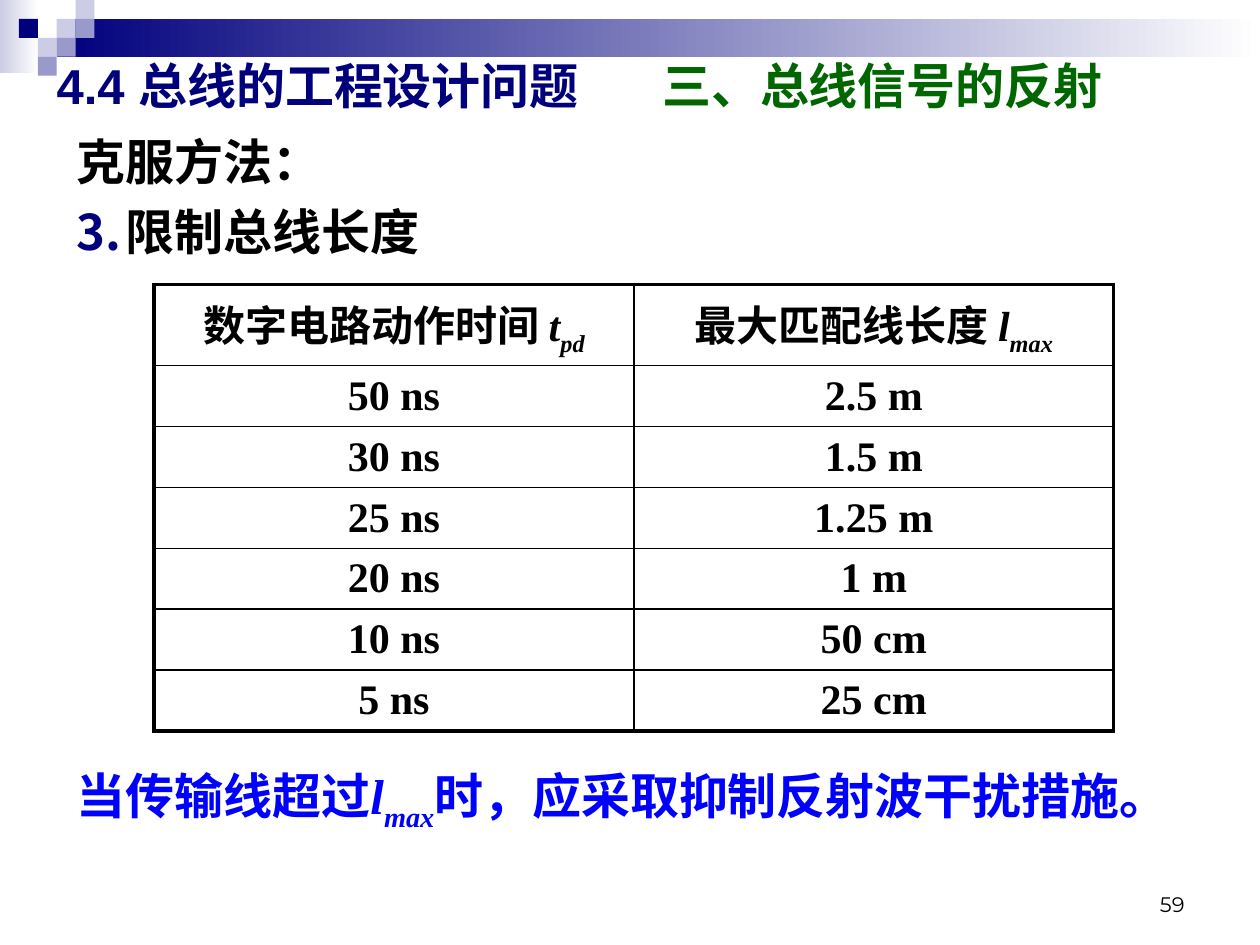
from lxml import etree
from pptx import Presentation
from pptx.dml.color import RGBColor
from pptx.enum.shapes import MSO_SHAPE
from pptx.enum.text import MSO_ANCHOR, PP_ALIGN
from pptx.oxml import parse_xml
from pptx.oxml.ns import nsdecls, qn
from pptx.util import Pt

COLORS = {"navy": "00007D", "lilac": "CCCCE6", "violet": "9999CC", "white": "FFFFFF",
          "green": "006600", "blue": "0000FF", "black": "000000"}
SERIF = "Times New Roman"


def add_text(paragraph, text, size=28, font=SERIF, color="black", bold=True,
             italic=False, baseline=0):
    run = paragraph.add_run()
    run.text = text
    run.font.size = Pt(size)
    run.font.name = font
    run.font.bold = bold
    run.font.italic = italic
    run.font.color.rgb = RGBColor.from_string(COLORS[color])
    if baseline:
        run.font._element.set("baseline", str(baseline * 1000))


def add_block(left, top, width, height, color, fade_to=None):
    block = slide.shapes.add_shape(MSO_SHAPE.RECTANGLE, Pt(left), Pt(top), Pt(width), Pt(height))
    block.shadow.inherit = False
    block.line.fill.background()
    if fade_to:
        block.fill.gradient()
        block.fill.gradient_angle = 0
        for stop, name, position in zip(block.fill.gradient_stops, (color, fade_to), (0, 1)):
            stop.color.rgb = RGBColor.from_string(COLORS[name])
            stop.position = position
    else:
        block.fill.solid()
        block.fill.fore_color.rgb = RGBColor.from_string(COLORS[color])


prs = Presentation()
prs.slide_width, prs.slide_height = Pt(720), Pt(540)
slide = prs.slides.add_slide(prs.slide_layouts[1])

# Header band and mosaic of squares
add_block(0, 0, 22, 42, "lilac", fade_to="white")
add_block(32.4, 10.8, 687.6, 21.6, "navy", fade_to="white")
SQUARE = 10.8
for column, row, color in [(3, 1, "lilac"), (4, 0, "lilac"), (4, 1, "violet"), (2, 2, "lilac"),
                           (1, 1, "navy"), (3, 2, "violet"), (2, 3, "violet")]:
    add_block(column * SQUARE, row * SQUARE, SQUARE, SQUARE, color)

# Title, its second half set at a tab stop
title = slide.shapes.title
title.left, title.top, title.width, title.height = Pt(25.2), Pt(26), Pt(668.6), Pt(45.4)
title.text_frame.vertical_anchor = MSO_ANCHOR.MIDDLE
heading = title.text_frame.paragraphs[0]
heading.alignment = PP_ALIGN.LEFT
heading._p.get_or_add_pPr().append(parse_xml(
    f'<a:tabLst {nsdecls("a")}><a:tab pos="{Pt(346)}" algn="l"/></a:tabLst>'))
add_text(heading, "4.4 总线的工程设计问题\t", font="Arial", color="navy")
add_text(heading, "三、总线信号的反射", font="Arial", color="green")

# Body: the last paragraph stands below the table
body = slide.placeholders[1]
body.left, body.top, body.width, body.height = Pt(36.7), Pt(71.3), Pt(668.9), Pt(425.5)
method, limit = body.text_frame.paragraphs[0], body.text_frame.add_paragraph()
advice = body.text_frame.add_paragraph()
for paragraph, gap in [(method, 0), (limit, 6.5), (advice, 289)]:
    paragraph.space_before = Pt(gap)
    properties = paragraph._p.get_or_add_pPr()
    properties.set("marL", str(Pt(28)))
    properties.set("indent", str(Pt(-28)))
    if paragraph is limit:
        bullet_color = etree.SubElement(properties, qn("a:buClr"))
        etree.SubElement(bullet_color, qn("a:srgbClr"), val=COLORS["navy"])
        etree.SubElement(properties, qn("a:buFont"), typeface="+mj-ea")
        etree.SubElement(properties, qn("a:buAutoNum"), type="arabicPeriod", startAt="3")
    else:
        etree.SubElement(properties, qn("a:buNone"))
add_text(method, "克服方法：")
add_text(limit, "限制总线长度")
add_text(advice, "当传输线超过", color="blue")
add_text(advice, "l", color="blue", italic=True)
add_text(advice, "max", color="blue", italic=True, baseline=-25)
add_text(advice, "时，应采取抑制反射波干扰措施。", color="blue")

# Page number
page_number = slide.shapes.add_textbox(Pt(516), Pt(502.5), Pt(168), Pt(25)).text_frame
page_number.word_wrap = True
page_number.vertical_anchor = MSO_ANCHOR.BOTTOM
page_number.paragraphs[0].alignment = PP_ALIGN.RIGHT
add_text(page_number.paragraphs[0], "59", size=12, font="Montserrat", bold=False)

# Table of switching time against line length
headers = [("数字电路动作时间 ", "t", "pd"), ("最大匹配线长度 ", "l", "max")]
limits = [("50 ns", "2.5 m"), ("30 ns", "1.5 m"), ("25 ns", "1.25 m"),
          ("20 ns", "1 m"), ("10 ns", "50 cm"), ("5 ns", "25 cm")]
rows = [headers] + limits
table = slide.shapes.add_table(len(rows), 2, Pt(88), Pt(162.5), Pt(548.4), Pt(249)).table
table.first_row = table.horz_banding = False
for r, row in enumerate(rows):
    table.rows[r].height = Pt(33.7 if r else 46.5)
    for c, content in enumerate(row):
        cell = table.cell(r, c)
        cell.margin_top = cell.margin_bottom = Pt(3)
        cell.vertical_anchor = MSO_ANCHOR.MIDDLE
        paragraph = cell.text_frame.paragraphs[0]
        paragraph.alignment = PP_ALIGN.CENTER
        if r == 0:
            label, symbol, subscript = content
            add_text(paragraph, label, size=24)
            add_text(paragraph, symbol, size=24, italic=True)
            add_text(paragraph, subscript, size=24, italic=True, baseline=-25)
        else:
            add_text(paragraph, content, size=24)
        # Thick outer frame, thin inner lines
        outer_edges = {"a:lnL": c == 0, "a:lnR": c == 1,
                       "a:lnT": r == 0, "a:lnB": r == len(rows) - 1}
        for tag, is_outer in outer_edges.items():
            edge = etree.SubElement(cell._tc.get_or_add_tcPr(), qn(tag),
                                    w=str(Pt(2.25 if is_outer else 1)))
            edge_fill = etree.SubElement(edge, qn("a:solidFill"))
            etree.SubElement(edge_fill, qn("a:srgbClr"), val=COLORS["black"])
        cell.fill.background()

prs.save("out.pptx")
